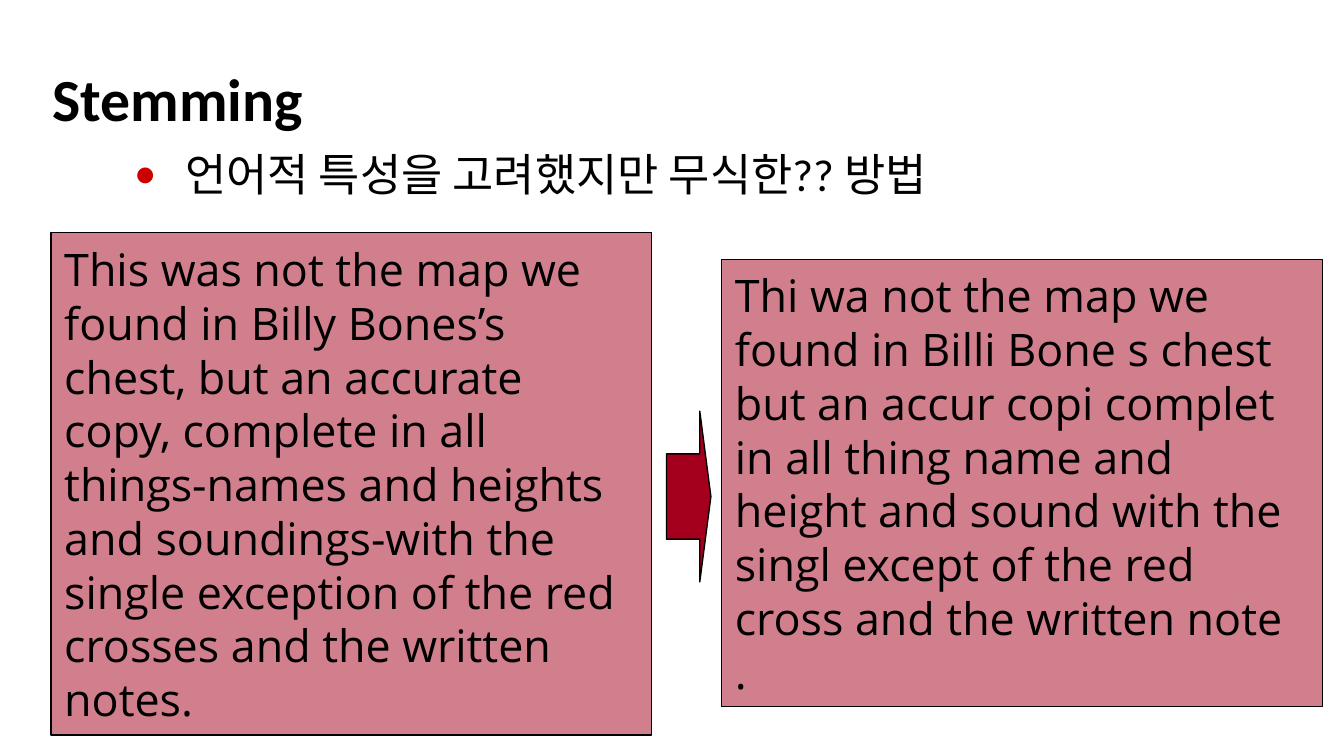
from lxml import etree
from pptx import Presentation
from pptx.dml.color import RGBColor
from pptx.enum.shapes import MSO_SHAPE
from pptx.enum.text import MSO_ANCHOR, PP_ALIGN
from pptx.oxml.ns import qn
from pptx.util import Inches, Pt

RECTANGLE, RIGHT_ARROW = MSO_SHAPE.RECTANGLE, MSO_SHAPE.RIGHT_ARROW
TOP, MIDDLE, BOTTOM = MSO_ANCHOR.TOP, MSO_ANCHOR.MIDDLE, MSO_ANCHOR.BOTTOM
LEFT = PP_ALIGN.LEFT

COLORS = {"text": "000000", "crimson": "A4001D", "bullet": "CC0000"}
HEADING_FONT, PASSAGE_FONT = "Calibri", "Open Sans"

ORIGINAL_PASSAGE = [
    "This was not the map we found in Billy Bones’s chest, but an accurate "
    "copy, complete in all things-names and heights and soundings-with the "
    "single exception of the red crosses and the written notes."
]
STEMMED_PASSAGE = [
    "Thi wa not the map we found in Billi Bone s chest but an accur copi "
    "complet in all thing name and height and sound with the singl except "
    "of the red cross and the written note",
    ".",
]


def rgb(name):
    return RGBColor.from_string(COLORS[name])


def add_bullet(paragraph, indent):
    """Give the paragraph a coloured round bullet with a hanging indent."""
    properties = paragraph._p.get_or_add_pPr()
    properties.set("marL", str(Inches(indent)))
    properties.set("indent", str(-Inches(indent)))
    bullet_color = etree.SubElement(properties, qn("a:buClr"))
    etree.SubElement(bullet_color, qn("a:srgbClr"), val=COLORS["bullet"])
    etree.SubElement(properties, qn("a:buFont"), typeface=HEADING_FONT)
    etree.SubElement(properties, qn("a:buChar"), char="•")


def write_text(shape, lines, font=HEADING_FONT, size=24, bold=False,
               anchor=TOP, bullet_indent=None, line_spacing=None):
    frame = shape.text_frame
    frame.word_wrap = True
    frame.vertical_anchor = anchor
    for index, line in enumerate(lines):
        paragraph = frame.paragraphs[0] if index == 0 else frame.add_paragraph()
        paragraph.alignment = LEFT
        if line_spacing:
            paragraph.line_spacing = Pt(line_spacing)
        if bullet_indent:
            add_bullet(paragraph, bullet_indent)
        run = paragraph.add_run()
        run.text = line
        run.font.name = font
        run.font.size = Pt(size)
        run.font.bold = bold
        run.font.color.rgb = rgb("text")


def add_text(slide, box, text, **text_format):
    label = slide.shapes.add_textbox(*map(Inches, box))
    write_text(label, [text], **text_format)


def add_outlined_shape(slide, kind, box, opacity=100):
    shape = slide.shapes.add_shape(kind, *map(Inches, box))
    shape.shadow.inherit = False
    shape.fill.solid()
    shape.fill.fore_color.rgb = rgb("crimson")
    shape.line.color.rgb = rgb("text")
    shape.line.width = Pt(0.75)
    if opacity < 100:
        fill_color = shape._element.spPr.find(qn("a:solidFill"))[0]
        etree.SubElement(fill_color, qn("a:alpha"), val=str(opacity * 1000))
    return shape


def add_passage(slide, box, lines):
    panel = add_outlined_shape(slide, RECTANGLE, box, opacity=50)
    write_text(panel, lines, font=PASSAGE_FONT, anchor=MIDDLE, line_spacing=28.8)


def main():
    # Widescreen slide, 16:9
    presentation = Presentation()
    presentation.slide_width = Inches(10)
    presentation.slide_height = Inches(10) * 9 // 16
    slide = presentation.slides.add_slide(presentation.slide_layouts[6])

    # Heading and remark
    add_text(slide, (0.29, 0.23, 9.42, 0.81), "Stemming",
             size=32, bold=True, anchor=BOTTOM)
    add_text(slide, (0.9, 1.04, 8.25, 3.75),
             "언어적 특성을 고려했지만 무식한?? 방법", bullet_indent=0.38)

    # Passage before and after stemming
    add_passage(slide, (0.38, 1.73, 4.47, 3.74), ORIGINAL_PASSAGE)
    arrow = add_outlined_shape(slide, RIGHT_ARROW, (4.96, 3.06, 0.33, 1.27))
    arrow.adjustments[1] = 0.25
    add_passage(slide, (5.37, 1.93, 4.47, 3.33), STEMMED_PASSAGE)

    presentation.save("out.pptx")


if __name__ == "__main__":
    main()
